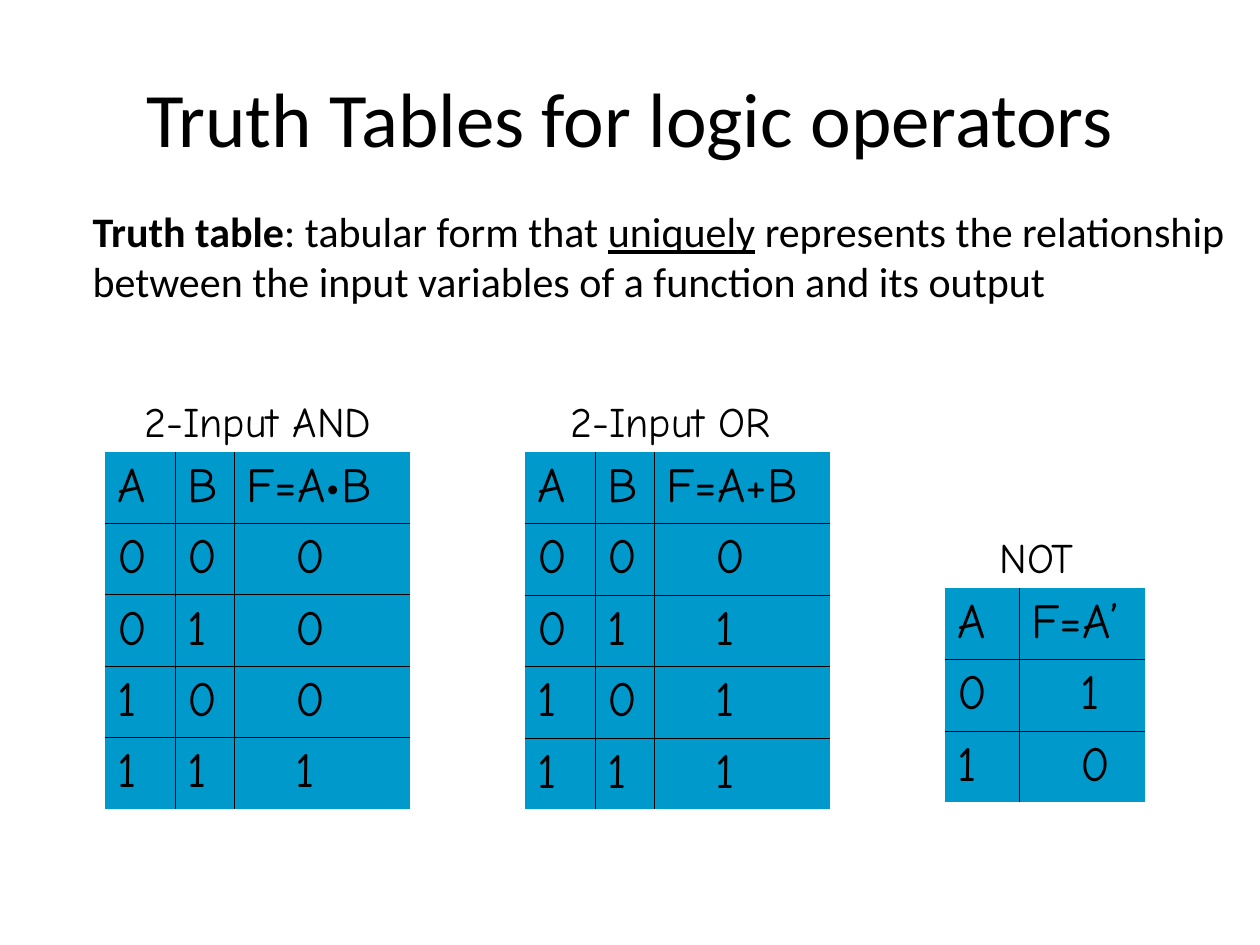
from lxml.etree import SubElement
from pptx import Presentation
from pptx.dml.color import RGBColor
from pptx.enum.text import MSO_ANCHOR, MSO_AUTO_SIZE as AutoSize, PP_ALIGN
from pptx.oxml import parse_xml
from pptx.oxml.ns import nsdecls, qn
from pptx.util import Emu, Pt

BLACK = RGBColor(0, 0, 0)
BLUE = RGBColor(0x00, 0x99, 0xCC)
BODY_FONT, TABLE_FONT = "Calibri", "Comic Neue"
OUTPUT_INDENT = 62

DEFINITION = (
    ("Truth table", "bold"),
    (": tabular form that ", ""),
    ("uniquely", "underline"),
    (" represents the relationship between the input variables of a function and its output", ""),
)
TABLES = (
    ("2-Input AND", (27, 252), (105, 452, 305, 357), (70, 59, 176),
     (("A", "B", "F=A•B"), "000", "010", "100", "111")),
    ("2-Input OR", (33, 226), (525, 452, 305, 357), (70, 59, 176),
     (("A", "B", "F=A+B"), "000", "011", "101", "111")),
    ("NOT", (42, 102), (945, 588, 200, 214), (74, 126),
     (("A", "F=A’"), "01", "10")),
)


def px(n):
    """Turn pixels into EMU."""
    return Emu(round(n * 914400 / 126))


def place(sp, box):
    """Move a shape to a box."""
    sp.left, sp.top, sp.width, sp.height = map(px, box)


def style(font, name, size):
    """Set a black font."""
    font.name, font.size = name, Pt(size)
    font.color.rgb = BLACK


def add_title(s, box, text):
    """Fill the title placeholder."""
    sp = s.shapes.title
    place(sp, box)
    tf = sp.text_frame
    tf.text = text
    tf.vertical_anchor = MSO_ANCHOR.MIDDLE
    p = tf.paragraphs[0]
    p.alignment = PP_ALIGN.CENTER
    style(p.runs[0].font, BODY_FONT, 44)


def add_definition(s, box):
    """Fill the body placeholder with the unbulleted definition."""
    sp = s.placeholders[1]
    place(sp, box)
    tf = sp.text_frame
    tf.auto_size = AutoSize.NONE
    p = tf.paragraphs[0]
    pPr = p._p.get_or_add_pPr()
    pPr.set("marL", str(px(48)))
    pPr.set("indent", "0")
    SubElement(pPr, qn("a:buNone"))
    p.space_before = Pt(0)
    for text, mark in DEFINITION:
        r = p.add_run()
        r.text = text
        style(r.font, BODY_FONT, 24)
        r.font.bold = mark == "bold"
        r.font.underline = mark == "underline"


def add_caption(s, box, text):
    """Add the heading above a table."""
    sp = s.shapes.add_textbox(*map(px, box))
    tf = sp.text_frame
    tf.word_wrap = False
    tf.auto_size = AutoSize.SHAPE_TO_FIT_TEXT
    tf.text = text
    style(tf.paragraphs[0].runs[0].font, TABLE_FONT, 24)


def set_borders(cell, inner):
    """Draw the inner sides of a cell and hide the outer ones."""
    tcPr = cell._tc.get_or_add_tcPr()
    for i, side in enumerate("LRTB"):
        paint = (f'<a:solidFill><a:srgbClr val="{BLACK}"/></a:solidFill>'
                 if side in inner else "<a:noFill/>")
        tcPr.insert(i, parse_xml(
            f'<a:ln{side} {nsdecls("a")} w="{Pt(0.45)}">{paint}</a:ln{side}>'))


def add_truth_table(s, box, widths, rows):
    """Add a truth table with its output values indented."""
    n_rows, n_cols = len(rows), len(widths)
    table = s.shapes.add_table(n_rows, n_cols, *map(px, box)).table
    table.first_row = table.horz_banding = False
    for column, width in zip(table.columns, widths):
        column.width = px(width)
    for i, values in enumerate(rows):
        table.rows[i].height = px(box[3] / n_rows)
        for j, value in enumerate(values):
            cell = table.cell(i, j)
            cell.text = value
            style(cell.text_frame.paragraphs[0].runs[0].font, TABLE_FONT, 28)
            if i and j == n_cols - 1:
                cell.margin_left = px(OUTPUT_INDENT)
            cell.fill.solid()
            cell.fill.fore_color.rgb = BLUE
            inside = {"L": j > 0, "R": j < n_cols - 1, "T": i > 0, "B": i < n_rows - 1}
            set_borders(cell, [side for side, shown in inside.items() if shown])


def add_operator(s, caption, span, box, widths, rows):
    """Add one operator: its table and the caption above it."""
    left, top = box[:2]
    offset, width = span
    add_truth_table(s, box, widths, rows)
    add_caption(s, (left + offset, top - 63, width, 63), caption)


def main():
    """Build and save the slide."""
    prs = Presentation()
    prs.slide_width, prs.slide_height = px(1260), px(945)
    s = prs.slides.add_slide(prs.slide_layouts[1])
    add_title(s, (0, 38, 1260, 157), "Truth Tables for logic operators")
    add_definition(s, (32, 199, 1207, 624))
    for operator in TABLES:
        add_operator(s, *operator)
    prs.save("out.pptx")


if __name__ == "__main__":
    main()
